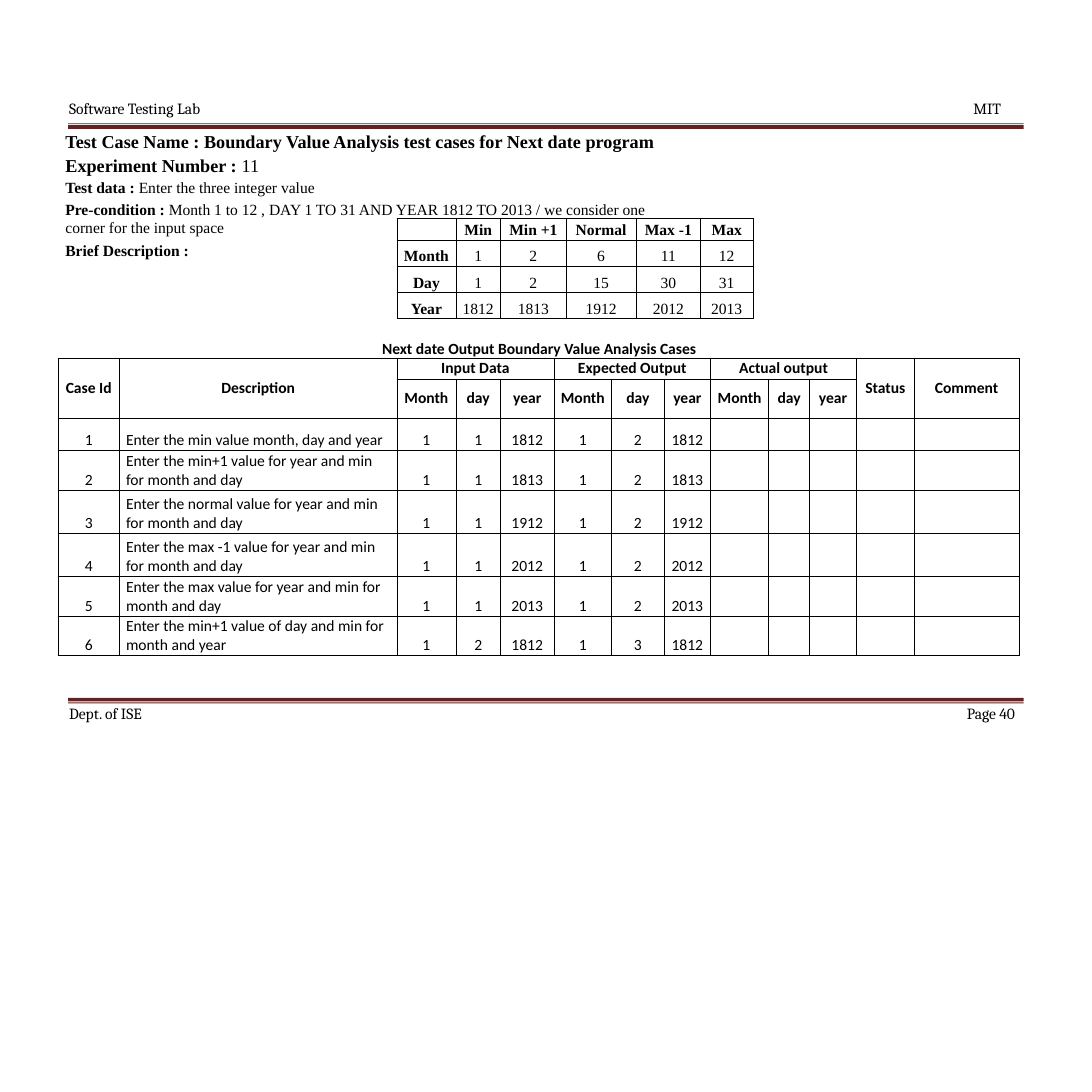
from lxml.etree import SubElement
from pptx import Presentation
from pptx.dml.color import RGBColor
from pptx.enum.text import MSO_ANCHOR as ANCHOR, PP_ALIGN as ALIGN
from pptx.oxml.ns import qn
from pptx.util import Inches, Pt

BLACK = RGBColor(0x00, 0x00, 0x00)
MAROON = RGBColor(0x61, 0x23, 0x22)
SIDE = 11.69
SERIF, SANS, MARGIN_FONT = "Times New Roman", "Calibri", "Cambria"

# text, left, top, width
MARGIN_NOTES = [
    ("Software Testing Lab", 0.74, 1.05, 1.53),
    ("MIT", 10.42, 1.05, 0.32),
    ("Dept. of ISE", 0.74, 7.53, 0.85),
    ("Page 40", 10.35, 7.53, 0.63),
]

RULE_LEFT, RULE_RIGHT = 0.73, 10.96
# (top, bottom) of the two bands in each rule
RULES = [
    [(1.34, 1.38), (1.32, 1.33)],
    [(7.52, 7.53), (7.47, 7.51)],
]

# size, line spacing, space before, (text, bold) runs
INTRO = [
    (14, 1.1, 1, [
        ("Test Case Name : Boundary Value Analysis test cases for Next date program"
         "\vExperiment Number : ", True),
        ("11", False)]),
    (12, 1.0, 1.4, [("Test data : ", True),
                    ("Enter the three integer value", False)]),
    (12, 1.0, 2.4, [
        ("Pre-condition : ", True),
        ("Month 1 to 12 , DAY 1 TO 31 AND YEAR 1812 TO 2013 / we consider one"
         "\vcorner for the input space", False)]),
    (12, 1.0, 3, [("Brief Description :", True)]),
]

RANGE_COLS = [0.63, 0.48, 0.7, 0.75, 0.69, 0.56]
RANGE_ROWS = [0.23] + [0.28] * 3
RANGES = [
    ["", "Min", "Min +1", "Normal", "Max -1", "Max"],
    ["Month", "1", "2", "6", "11", "12"],
    ["Day", "1", "2", "15", "30", "31"],
    ["Year", "1812", "1813", "1912", "2012", "2013"],
]

CAPTION = "Next date Output Boundary Value Analysis Cases"
CASE_COLS = [0.66, 2.97, 0.63, 0.48, 0.57, 0.62, 0.56, 0.5,
             0.62, 0.44, 0.5, 0.62, 1.12]
CASE_ROWS = [0.22, 0.42, 0.34, 0.43, 0.46, 0.46, 0.43, 0.42]
TALL_HEADS = {0: "Case Id", 1: "Description", 11: "Status", 12: "Comment"}
GROUP_HEADS = {2: "Input Data", 5: "Expected Output", 8: "Actual output"}
DATE_PARTS = ["Month", "day", "year"]
# description, input date, expected date
CASES = [
    ("Enter the min value month, day and year", (1, 1, 1812), (1, 2, 1812)),
    ("Enter the min+1 value for year and min\vfor month and day",
     (1, 1, 1813), (1, 2, 1813)),
    ("Enter the normal value for year and min\vfor month and day",
     (1, 1, 1912), (1, 2, 1912)),
    ("Enter the max -1 value for year and min\vfor month and day",
     (1, 1, 2012), (1, 2, 2012)),
    ("Enter the max value for year and min for\vmonth and day",
     (1, 1, 2013), (1, 2, 2013)),
    ("Enter the min+1 value of day and min for\vmonth and year",
     (1, 2, 1812), (1, 3, 1812)),
]


def add_run(p, text, font, size, bold=False):
    """Add one run; a vertical tab in the text becomes a line break."""
    for i, line in enumerate(text.split("\v")):
        if i:
            p.add_line_break()
        r = p.add_run()
        r.text = line
        r.font.name, r.font.size, r.font.bold = font, Pt(size), bold
        r.font.color.rgb = BLACK


def add_text(slide, box, font, paragraphs):
    tf = slide.shapes.add_textbox(*map(Inches, box)).text_frame
    tf.word_wrap = True
    tf.margin_left = tf.margin_right = tf.margin_bottom = 0
    tf.margin_top = Inches(0.01)
    for i, (size, spacing, before, runs) in enumerate(paragraphs):
        p = tf.add_paragraph() if i else tf.paragraphs[0]
        p.line_spacing, p.space_before = spacing, Pt(before)
        for text, bold in runs:
            add_run(p, text, font, size, bold)


def add_rule(slide, bands):
    """Draw a thick and a thin band as one outline shape."""
    left, right = Inches(RULE_LEFT), Inches(RULE_RIGHT)
    builder = None
    for top, bottom in bands:
        top, bottom = Inches(top), Inches(bottom)
        if builder is None:
            builder = slide.shapes.build_freeform(right, top)
        else:
            builder.move_to(right, top)
        builder.add_line_segments([(left, top), (left, bottom), (right, bottom)])
    sp = builder.convert_to_shape()
    sp.shadow.inherit = False
    sp.fill.solid()
    sp.fill.fore_color.rgb = MAROON
    sp.line.fill.background()


def style_cell(cell):
    """Clear the fill, draw thin black borders and keep empty lines at 12 pt."""
    cell.margin_left = cell.margin_right = cell.margin_top = 0
    cell.margin_bottom = Inches(0.01)
    tc_pr = cell._tc.get_or_add_tcPr()
    for side in ("lnL", "lnR", "lnT", "lnB"):
        ln = SubElement(tc_pr, qn(f"a:{side}"), w=str(Pt(0.5)))
        SubElement(SubElement(ln, qn("a:solidFill")), qn("a:srgbClr"), val=str(BLACK))
    cell.fill.background()
    SubElement(cell.text_frame.paragraphs[0]._p, qn("a:endParaRPr"), sz="1200")


def add_grid(slide, left, top, cols, rows):
    size = map(Inches, (left, top, sum(cols), sum(rows)))
    table = slide.shapes.add_table(len(rows), len(cols), *size).table
    table.first_row = table.horz_banding = False
    for column, width in zip(table.columns, cols):
        column.width = Inches(width)
    for row, height in zip(table.rows, rows):
        row.height = Inches(height)
        for cell in row.cells:
            style_cell(cell)
    return table


def write(cell, text, font, bold=False, align=ALIGN.CENTER, anchor=ANCHOR.BOTTOM):
    p = cell.text_frame.paragraphs[0]
    p.alignment = align
    cell.vertical_anchor = anchor
    add_run(p, str(text), font, 12, bold)


def add_ranges(slide):
    table = add_grid(slide, 4.25, 2.34, RANGE_COLS, RANGE_ROWS)
    for i, row in enumerate(RANGES):
        for j, text in enumerate(row):
            if text:
                write(table.cell(i, j), text, SERIF, bold=i == 0 or j == 0)


def add_cases(slide):
    table = add_grid(slide, 0.62, 3.84, CASE_COLS, CASE_ROWS)

    def head(i, j, text):
        write(table.cell(i, j), text, SANS, True, anchor=ANCHOR.MIDDLE)

    for j, text in TALL_HEADS.items():
        table.cell(0, j).merge(table.cell(1, j))
        head(0, j, text)
    for j, text in GROUP_HEADS.items():
        table.cell(0, j).merge(table.cell(0, j + 2))
        head(0, j, text)
        for k, part in enumerate(DATE_PARTS):
            head(1, j + k, part)
    for number, (description, given, expected) in enumerate(CASES, 1):
        row = number + 1
        write(table.cell(row, 0), number, SANS)
        write(table.cell(row, 1), description, SANS, align=ALIGN.LEFT)
        table.cell(row, 1).margin_left = Inches(0.07)
        for j, value in enumerate(given + expected, 2):
            write(table.cell(row, j), value, SANS)


def main():
    prs = Presentation()
    prs.slide_width = prs.slide_height = Inches(SIDE)
    s = prs.slides.add_slide(prs.slide_layouts[6])
    for text, left, top, width in MARGIN_NOTES:
        add_text(s, (left, top, width + 0.1, 0.23), MARGIN_FONT,
                 [(12, 1.0, 1, [(text, False)])])
    for bands in RULES:
        add_rule(s, bands)
    add_text(s, (0.7, 1.36, 8.08, 1.21), SERIF, INTRO)
    add_ranges(s)
    add_text(s, (4.09, 3.62, 3.5, 0.23), SANS, [(12, 1.0, 1, [(CAPTION, True)])])
    add_cases(s)
    prs.save("out.pptx")


if __name__ == "__main__":
    main()
